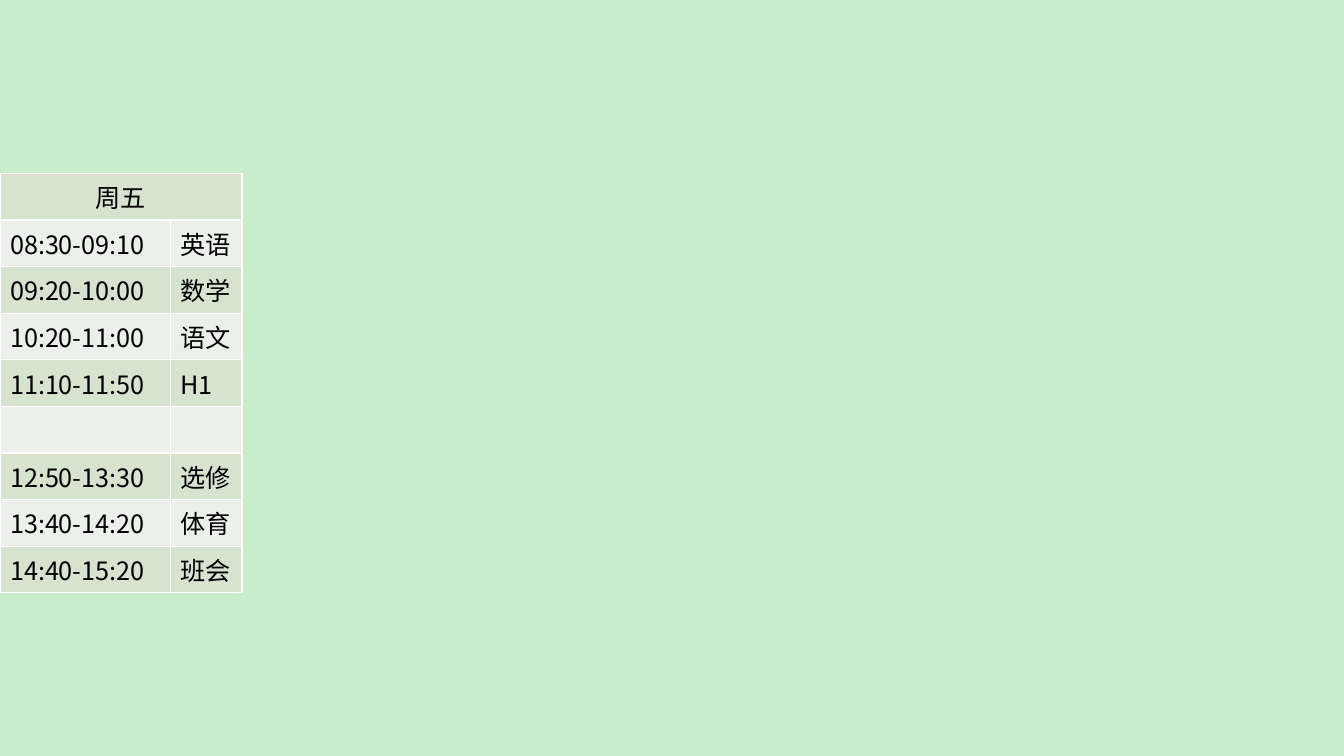
from lxml.etree import SubElement
from pptx import Presentation
from pptx.dml.color import RGBColor
from pptx.enum.text import PP_ALIGN as Align
from pptx.oxml.ns import qn
from pptx.util import Inches, Pt

FONT = "Noto Sans CJK SC"
BACKGROUND = "C7EDCC"
BORDER = "FFFFFF"
BANDS = ("D5E3CF", "EBF1E9")
COLUMN_WIDTHS = (1.69, 0.71)
ROW_HEIGHT = 0.41
DAY = "周五"
LESSONS = [
    ("08:30-09:10", "英语"),
    ("09:20-10:00", "数学"),
    ("10:20-11:00", "语文"),
    ("11:10-11:50", "H1"),
    ("", ""),
    ("12:50-13:30", "选修"),
    ("13:40-14:20", "体育"),
    ("14:40-15:20", "班会"),
]


def rgb(value):
    return RGBColor.from_string(value)


def write_text(tf, text, size=18, color="000000", align=Align.LEFT):
    """Write one paragraph; an empty one still keeps its font and size."""
    p = tf.paragraphs[0]
    p.alignment = align
    if text:
        r = p.add_run()
        r.text = text
        r.font.size = Pt(size)
        r.font.color.rgb = rgb(color)
        props = r.font._element
    else:
        props = SubElement(p._p, qn("a:endParaRPr"), sz=str(size * 100))
    for script in ("a:latin", "a:ea"):
        SubElement(props, qn(script), typeface=FONT)


def set_borders(cell, color, width=1):
    tc_pr = cell._tc.get_or_add_tcPr()
    for index, side in enumerate(("a:lnL", "a:lnR", "a:lnT", "a:lnB")):
        ln = tc_pr.makeelement(qn(side), {"w": str(Pt(width))})
        fill = SubElement(ln, qn("a:solidFill"))
        SubElement(fill, qn("a:srgbClr"), val=color)
        tc_pr.insert(index, ln)


def add_timetable(slide, left, top):
    rows = [(DAY, "")] + LESSONS
    frame = slide.shapes.add_table(
        len(rows), len(COLUMN_WIDTHS), Inches(left), Inches(top),
        Inches(sum(COLUMN_WIDTHS)), Inches(ROW_HEIGHT * len(rows)))
    table = frame.table
    for column, width in zip(table.columns, COLUMN_WIDTHS):
        column.width = Inches(width)
    table.cell(0, 0).merge(table.cell(0, 1))
    for i, texts in enumerate(rows):
        table.rows[i].height = Inches(ROW_HEIGHT)
        for j, text in enumerate(texts):
            cell = table.cell(i, j)
            cell.fill.solid()
            cell.fill.fore_color.rgb = rgb(BANDS[i % 2])
            set_borders(cell, BORDER)
            write_text(cell.text_frame, text,
                       align=Align.LEFT if i else Align.CENTER)


def main():
    prs = Presentation()
    prs.slide_width, prs.slide_height = Inches(13.33), Inches(7.5)
    slide = prs.slides.add_slide(prs.slide_layouts[6])
    slide.background.fill.solid()
    slide.background.fill.fore_color.rgb = rgb(BACKGROUND)
    add_timetable(slide, 0, 1.72)
    prs.save("out.pptx")


if __name__ == "__main__":
    main()
